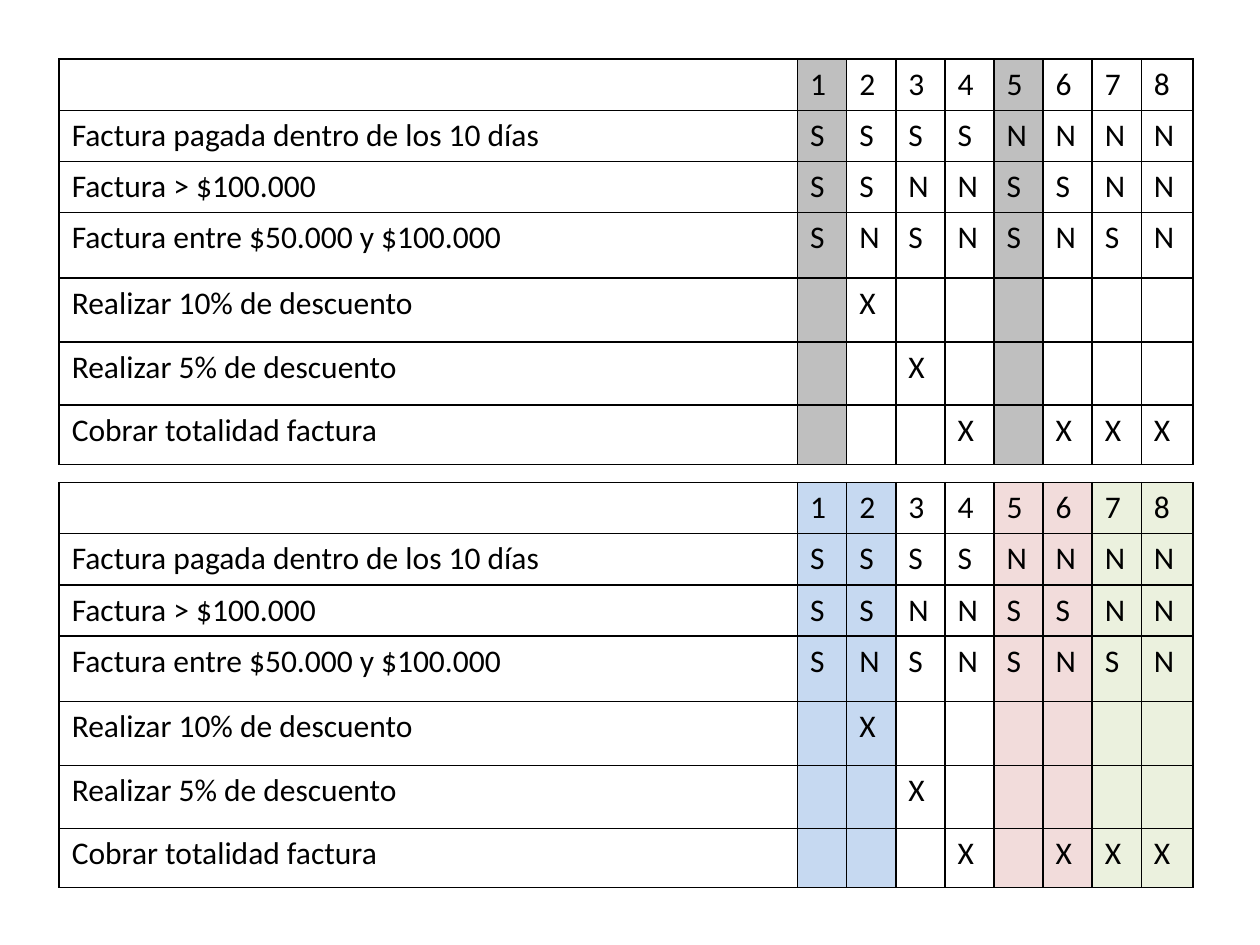
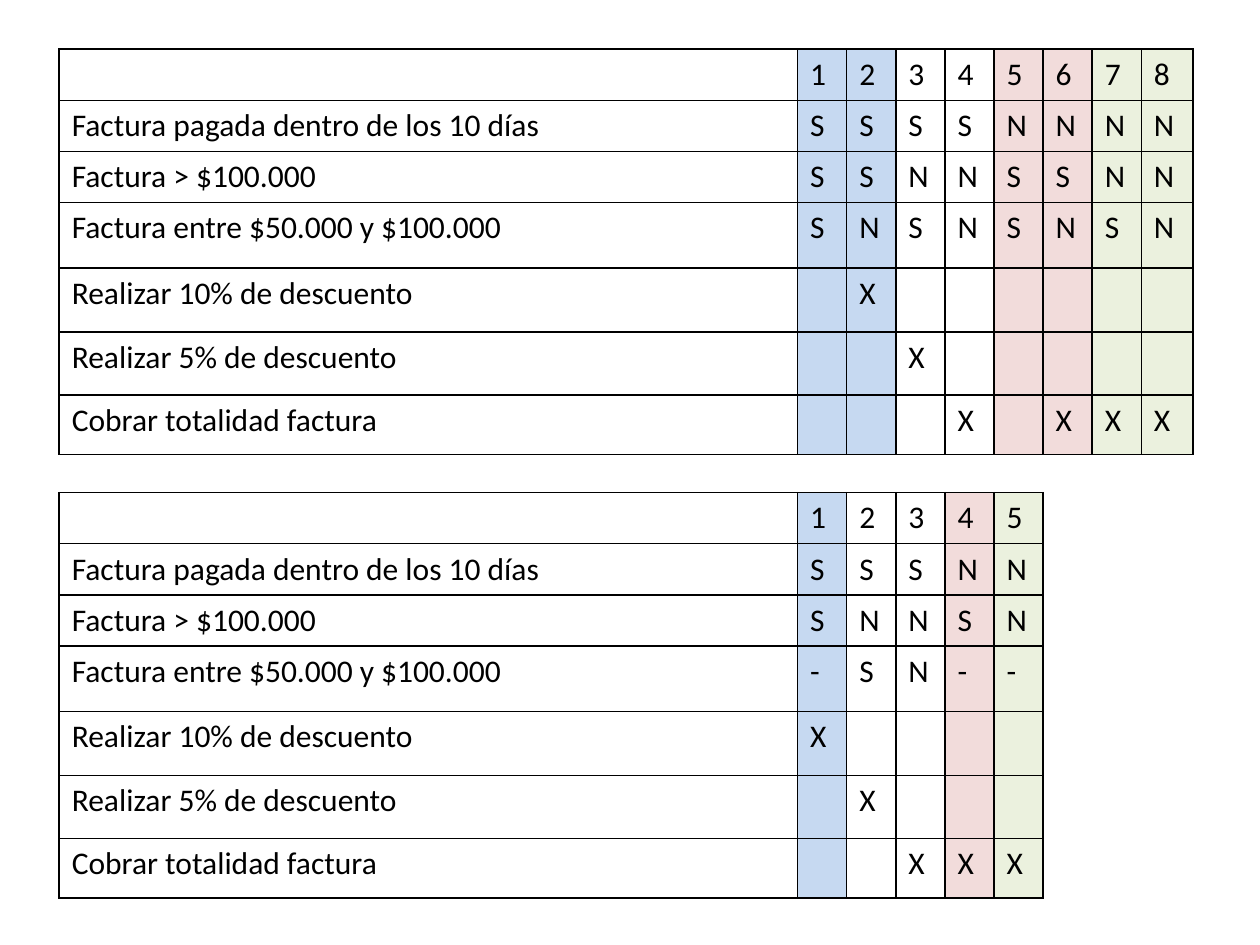
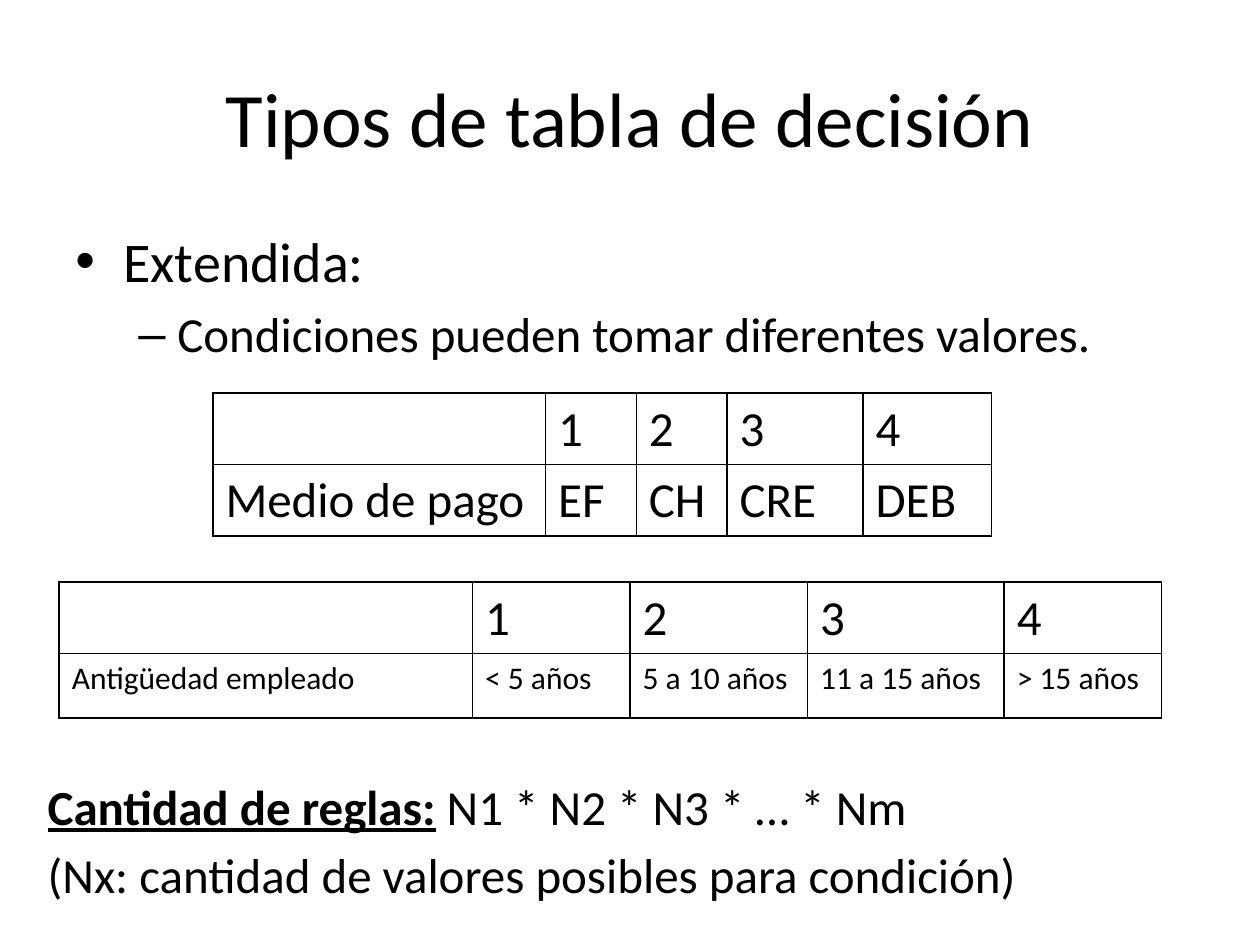
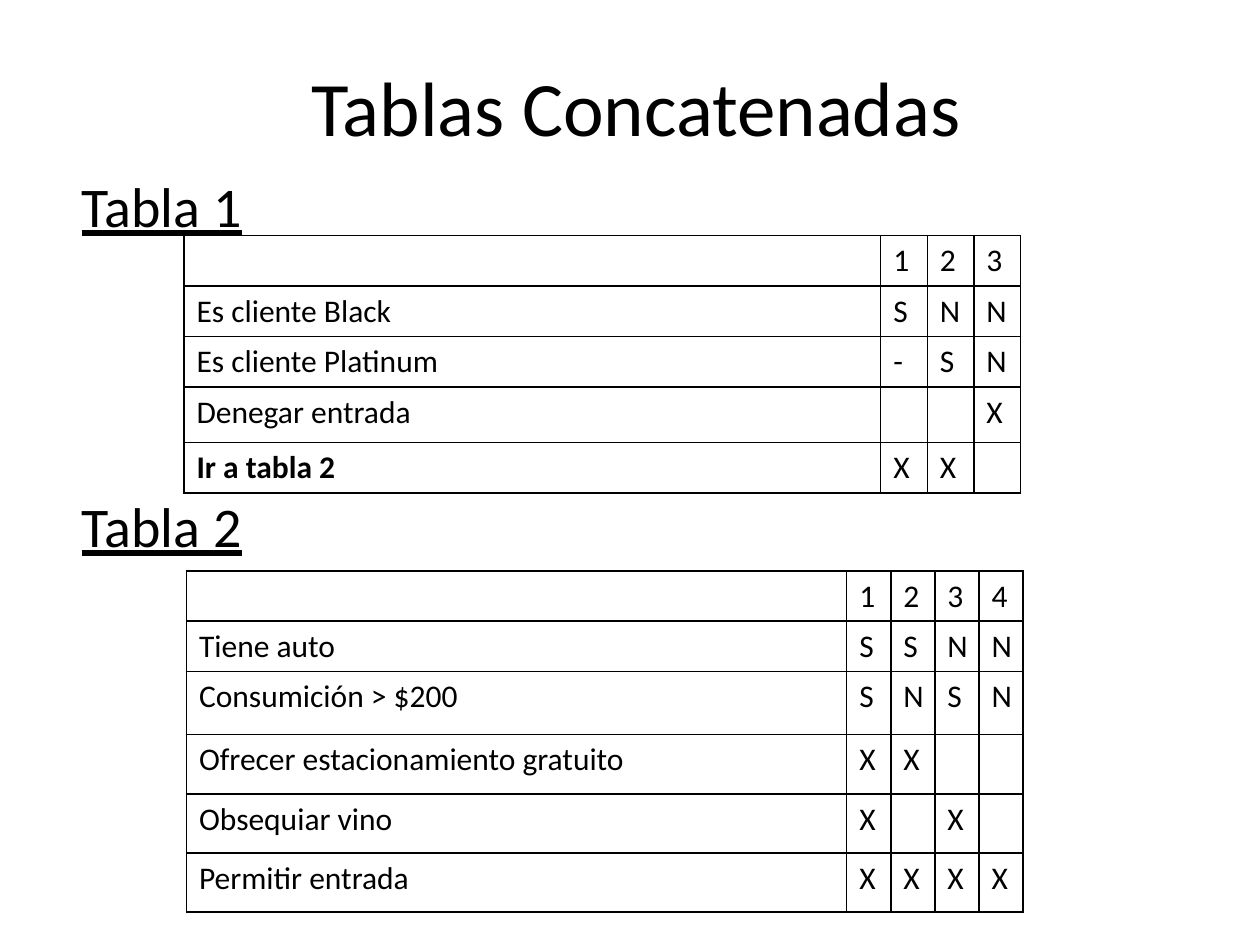
from lxml.etree import SubElement
from pptx import Presentation
from pptx.dml.color import RGBColor
from pptx.enum.text import MSO_ANCHOR as Anchor, PP_ALIGN as Align
from pptx.oxml.ns import qn
from pptx.util import Inches, Pt

FONT = "Calibri"
COLORS = {"ink": "000000", "gray": "BFBFBF", "blue": "C6D9F1",
          "pink": "F2DCDB", "green": "EBF1DE"}

# Each table row is a label and its values; a space is an empty cell.
INVOICE_LABELS = [
    "Factura pagada dentro de los 10 días", "Factura > $100.000",
    "Factura entre $50.000 y $100.000", "Realizar 10% de descuento",
    "Realizar 5% de descuento", "Cobrar totalidad factura"]
ALL_RULES = ["SSSSNNNN", "SSNNSSNN", "SNSNSNSN", " X      ", "  X     ", "   X XXX"]
MERGED_RULES = ["SSSNN", "SNNSN", "-SN--", "X    ", " X   ", "  XXX"]

REDUNDANT = {1: "gray", 5: "gray"}
PAIRS = {1: "blue", 2: "blue", 5: "pink", 6: "pink", 7: "green", 8: "green"}
MERGED = {1: "blue", 4: "pink", 5: "green"}

ALL_WIDTHS = [5.86] + [0.39] * 7 + [0.41]
MERGED_WIDTHS = [5.86] + [0.39] * 5
INVOICE_HEIGHTS = [0.35] * 3 + [0.52, 0.51, 0.5, 0.47]


def invoice(top, rules, widths, fills):
    """Describe one invoice decision table."""
    return {"at": (0.47, top), "widths": widths, "heights": INVOICE_HEIGHTS,
            "rows": list(zip(INVOICE_LABELS, rules)), "fills": fills}


TITLE = {"size": 44, "align": Align.CENTER}
HANGING = {"left": 0.38, "hang": 0.38}
HEADING = {"size": 32, **HANGING}
NOTE = {"size": 28, **HANGING}
STRONG = {"bold": True, "underline": True}
UNDERLINED = {"underline": True}

# A text is (place, anchor, paragraphs); a paragraph is (style, runs).
SLIDES = [
    {"tables": [invoice(0.47, ALL_RULES, ALL_WIDTHS, REDUNDANT),
                invoice(3.83, ALL_RULES, ALL_WIDTHS, PAIRS)]},
    {"tables": [invoice(0.39, ALL_RULES, ALL_WIDTHS, PAIRS),
                invoice(3.91, MERGED_RULES, MERGED_WIDTHS, MERGED)]},
    {"texts": [
        ((0.5, 0.3, 9, 1.25), Anchor.MIDDLE,
         [(TITLE, [("Tipos de tabla de decisión", {})])]),
        ((0.5, 1.75, 9, 1.22), Anchor.TOP, [
            ({**HEADING, "bullet": "•"}, [("Extendida:", {})]),
            ({"size": 28, "left": 0.81, "hang": 0.31, "bullet": "–", "level": 1},
             [("Condiciones pueden tomar diferentes valores.", {})])]),
        ((0.28, 6.11, 9.53, 1.31), Anchor.TOP, [
            (NOTE, [("Cantidad de reglas:", STRONG),
                    (" N1 * N2 * N3 * … * Nm", {})]),
            (NOTE, [("(Nx: cantidad de valores posibles para condición)", {})])])],
     "tables": [
        {"at": (1.69, 3.12), "widths": [2.64, 0.72, 0.72, 1.08, 1.02],
         "heights": [0.51, 0.51], "sizes": [28, 28],
         "rows": [("Medio de pago", ["EF", "CH", "CRE", "DEB"])]},
        {"at": (0.47, 4.62), "widths": [3.28, 1.25, 1.41, 1.56, 1.25],
         "heights": [0.51, 0.51], "sizes": [28, 18],
         "rows": [("Antigüedad empleado",
                   ["< 5 años", "5 a 10 años", "11 a 15 años", "> 15 años"])]}]},
    {"texts": [
        ((0.55, 0.21, 9, 1.25), Anchor.MIDDLE,
         [(TITLE, [("Tablas Concatenadas", {})])]),
        ((0.55, 1.31, 2, 0.59), Anchor.TOP,
         [(HEADING, [("Tabla 1", UNDERLINED)])]),
        ((0.55, 3.91, 2.08, 0.59), Anchor.TOP,
         [({**HEADING, "spacing": 0.9}, [("Tabla 2", UNDERLINED)])])],
     "tables": [
        {"at": (1.46, 1.87), "widths": [5.53] + [0.37] * 3,
         "heights": [0.35] * 3 + [0.44, 0.39], "bold": ["Ir a tabla 2"],
         "rows": [("Es cliente Black", "SNN"), ("Es cliente Platinum", "-SN"),
                  ("Denegar entrada", "  X"), ("Ir a tabla 2", "XX ")]},
        {"at": (1.48, 4.53), "widths": [5.24] + [0.35] * 4,
         "heights": [0.35] * 2 + [0.5] + [0.47] * 3,
         "rows": [("Tiene auto", "SSNN"), ("Consumición > $200", "SNSN"),
                  ("Ofrecer estacionamiento gratuito", "XX  "),
                  ("Obsequiar vino", "X X "), ("Permitir entrada", "XXXX")]}]},
]


def color(name):
    """Look up a palette colour."""
    return RGBColor.from_string(COLORS[name])


def set_font(font, size, **extra):
    """Apply the deck font plus any extra format values."""
    for name, value in {"name": FONT, "size": Pt(size), **extra}.items():
        setattr(font, name, value)
    font.color.rgb = color("ink")


def set_indent(para, left, hang, bullet):
    """Give a paragraph a hanging indent and, if wanted, a bullet."""
    properties = para._p.get_or_add_pPr()
    properties.set("marL", str(Inches(left)))
    properties.set("indent", str(-Inches(hang)))
    if bullet:
        SubElement(properties, qn("a:buFont"), typeface="Arial")
        SubElement(properties, qn("a:buChar"), char=bullet)
    else:
        SubElement(properties, qn("a:buNone"))


def add_text(page, place, anchor, paragraphs):
    """Add a text box of styled paragraphs."""
    frame = page.shapes.add_textbox(*map(Inches, place)).text_frame
    frame.word_wrap = True
    frame.vertical_anchor = anchor
    for index, (style, runs) in enumerate(paragraphs):
        para = frame.add_paragraph() if index else frame.paragraphs[0]
        para.alignment = style.get("align", Align.LEFT)
        para.level = style.get("level", 0)
        if "left" in style:
            para.space_before = Pt(round(style["size"] * 0.2, 1))
            para.line_spacing = style.get("spacing", 1.0)
            set_indent(para, style["left"], style["hang"], style.get("bullet"))
        for words, extra in runs:
            span = para.add_run()
            span.text = words
            set_font(span.font, style["size"], **extra)


def set_cell(cell, words, size, bold, fill):
    """Fill one table cell and draw its four borders."""
    para = cell.text_frame.paragraphs[0]
    if words.strip():
        span = para.add_run()
        span.text = words
        set_font(span.font, size, bold=bold)
    properties = cell._tc.get_or_add_tcPr()
    for side in ("a:lnL", "a:lnR", "a:lnT", "a:lnB"):
        line = SubElement(properties, qn(side), w=str(Pt(1)))
        paint = SubElement(line, qn("a:solidFill"))
        SubElement(paint, qn("a:srgbClr"), val=COLORS["ink"])
    if fill:
        cell.fill.solid()
        cell.fill.fore_color.rgb = color(fill)
    else:
        cell.fill.background()


def add_decision_table(page, content):
    """Add a table with numbered rules over labelled rows."""
    widths, heights = content["widths"], content["heights"]
    numbers = [str(rule) for rule in range(1, len(widths))]
    rows = [("", numbers)] + content["rows"]
    sizes = content.get("sizes", [18] * len(rows))
    place = (*content["at"], sum(widths), sum(heights))
    table = page.shapes.add_table(len(rows), len(widths), *map(Inches, place)).table
    table.first_row = table.horz_banding = False
    for column, width in zip(table.columns, widths):
        column.width = Inches(width)
    for row, height, size, (label, values) in zip(table.rows, heights, sizes, rows):
        row.height = Inches(height)
        for index, (cell, words) in enumerate(zip(row.cells, [label, *values])):
            set_cell(cell, words, size, words in content.get("bold", []),
                     content.get("fills", {}).get(index))


deck = Presentation()
deck.slide_width, deck.slide_height = Inches(10), Inches(7.5)
for slide in SLIDES:
    page = deck.slides.add_slide(deck.slide_layouts[6])
    for text in slide.get("texts", []):
        add_text(page, *text)
    for content in slide["tables"]:
        add_decision_table(page, content)
deck.save("out.pptx")
